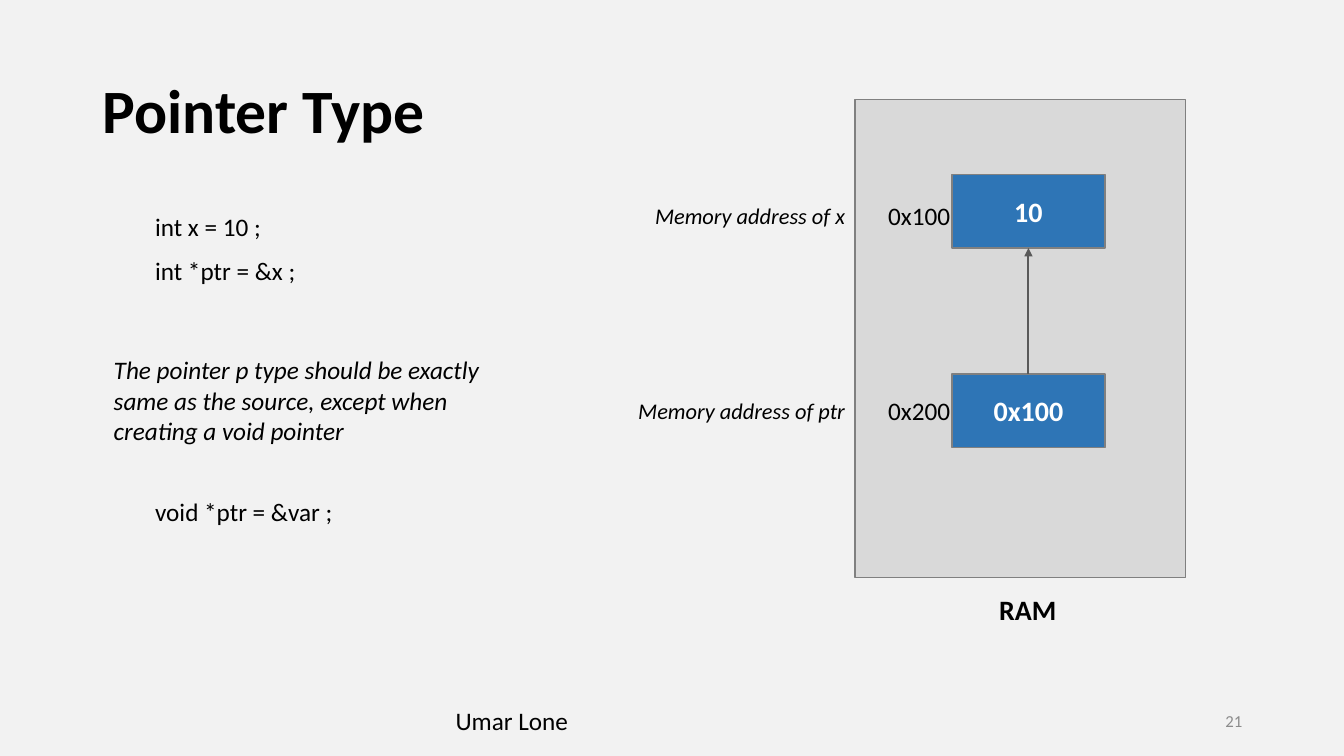
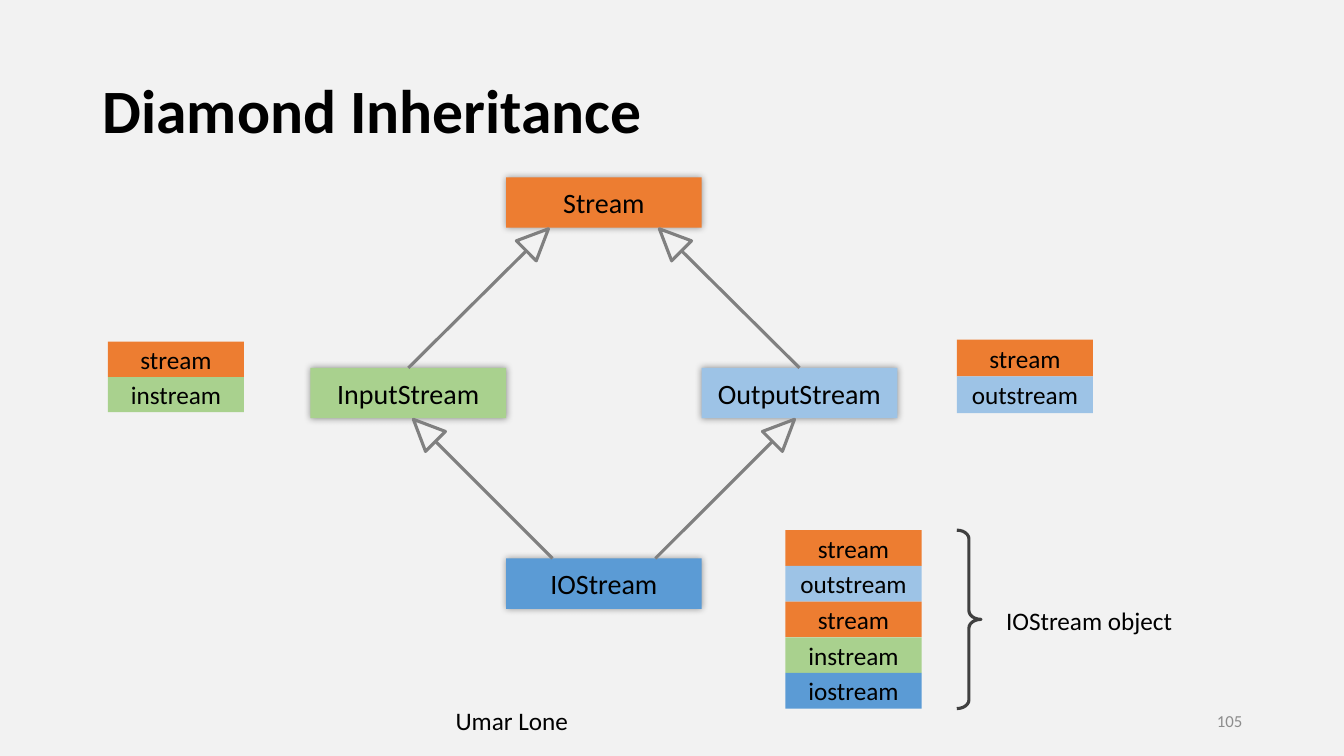
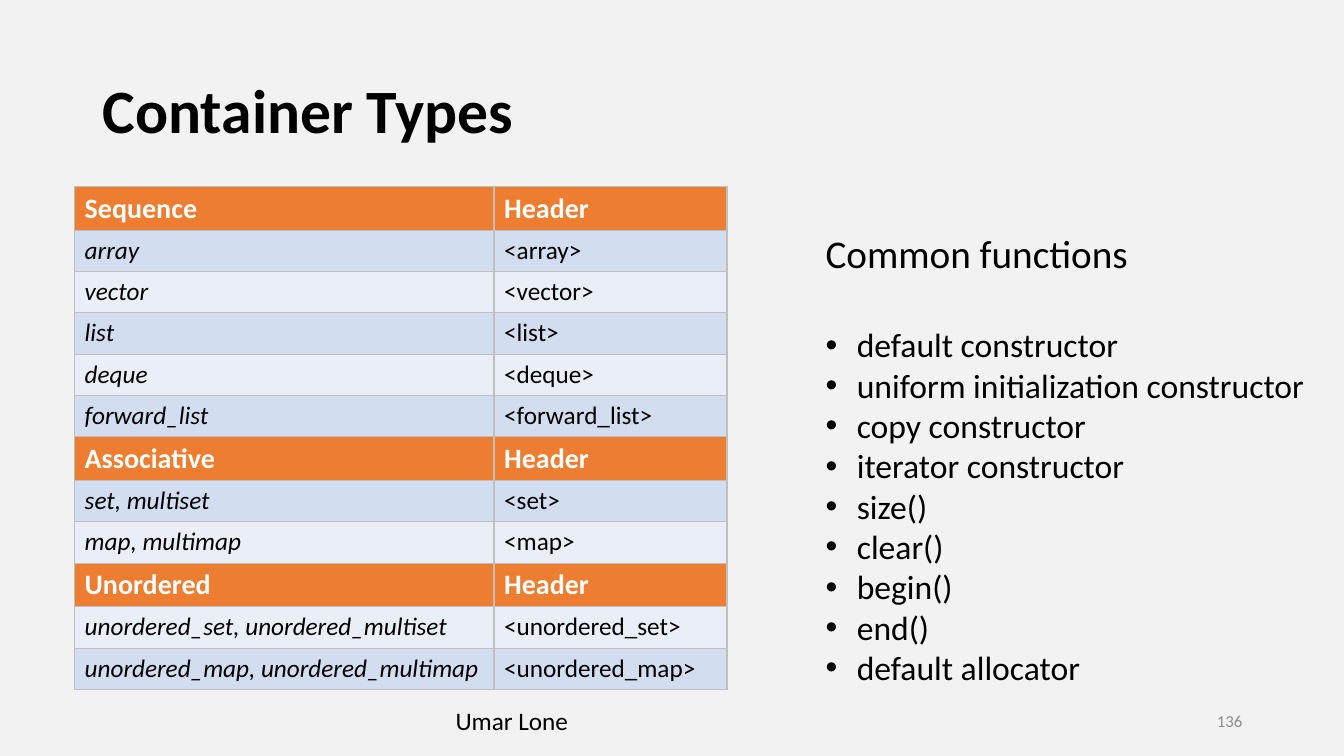
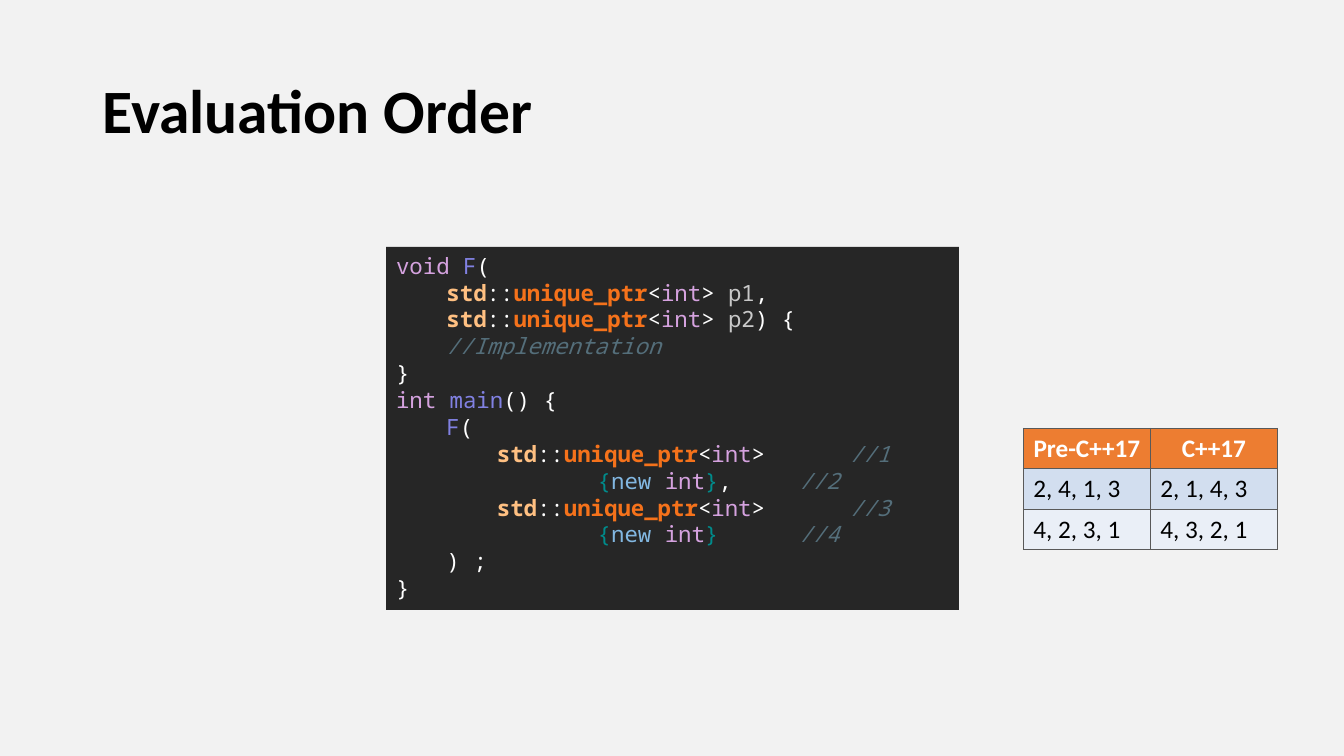
from dataclasses import dataclass
from math import atan2, cos, degrees, sin

from lxml.etree import SubElement
from pptx import Presentation
from pptx.dml.color import RGBColor
from pptx.enum.shapes import MSO_CONNECTOR as Connector, MSO_SHAPE as Shape
from pptx.enum.text import MSO_ANCHOR as Anchor, PP_ALIGN as Align
from pptx.oxml.ns import qn
from pptx.util import Inches, Pt


@dataclass(frozen=True)
class Theme:
    font: str = "Calibri"
    code_font: str = "Noto Sans Mono"
    page: str = "F2F2F2"
    ink: str = "000000"
    white: str = "FFFFFF"
    muted: str = "8C8C8C"
    memory: str = "D9D9D9"
    variable: str = "2E75B6"
    outline: str = "808080"
    dark_line: str = "595959"
    brace: str = "404040"
    grid: str = "BFBFBF"
    orange: str = "ED7D31"
    green: str = "A9D18E"
    light_blue: str = "9DC3E6"
    blue: str = "5B9BD5"
    band_dark: str = "D2DEEF"
    band_light: str = "EAEFF7"
    code_page: str = "262626"
    keyword: str = "D5A2DF"
    function: str = "8181E2"
    namespace: str = "FFC082"
    type_name: str = "F5721B"
    operator: str = "82B7E1"
    brace_code: str = "008B8B"
    parameter: str = "C8C8C8"
    comment: str = "546E7A"
    title: int = 44
    heading: int = 28
    bullet: int = 24
    label: int = 20
    body: int = 18
    small: int = 16
    number: int = 12


THEME = Theme()


@dataclass(frozen=True)
class Box:
    left: float
    top: float
    width: float
    height: float

    @property
    def lengths(self):
        return [Inches(v) for v in (self.left, self.top, self.width, self.height)]

    @property
    def center(self):
        return self.left + self.width / 2

    def inside(self, right, down, width, height):
        return Box(self.left + right, self.top + down, width, height)


def add_span(para, text, size, color=THEME.ink, bold=False, italic=False, font=THEME.font):
    span = para.add_run()
    span.text = text
    span.font.name = font
    span.font.size = Pt(size)
    span.font.bold = bold
    span.font.italic = italic
    span.font.color.rgb = RGBColor.from_string(color)


def add_text(page, box, text, size=THEME.body, align=Align.LEFT, anchor=Anchor.TOP, **style):
    frame = page.shapes.add_textbox(*box.lengths).text_frame
    frame.word_wrap = True
    frame.vertical_anchor = anchor
    para = frame.paragraphs[0]
    para.alignment = align
    add_span(para, text, size, **style)
    return frame


def add_block(page, box, fill=None, line=None, width=1, kind=Shape.RECTANGLE):
    block = page.shapes.add_shape(kind, *box.lengths)
    block.shadow.inherit = False
    if fill:
        block.fill.solid()
        block.fill.fore_color.rgb = RGBColor.from_string(fill)
    else:
        block.fill.background()
    if line:
        block.line.color.rgb = RGBColor.from_string(line)
        block.line.width = Pt(width)
    else:
        block.line.fill.background()
    return block


def add_label_block(page, box, text, fill, size=THEME.body, line=None, **style):
    block = add_block(page, box, fill, line)
    frame = block.text_frame
    frame.vertical_anchor = Anchor.MIDDLE
    frame.paragraphs[0].alignment = Align.CENTER
    add_span(frame.paragraphs[0], text, size, **style)
    return block


def add_glow(block):
    effects = block.element.spPr.find(qn("a:effectLst"))
    shadow = SubElement(effects, qn("a:outerShdw"), blurRad=str(Pt(5)), dist="0", dir="0")
    color = SubElement(shadow, qn("a:srgbClr"), val=THEME.ink)
    SubElement(color, qn("a:alpha"), val="40000")


def add_line(page, start, end, color, width, arrow=False):
    line = page.shapes.add_connector(Connector.STRAIGHT, *map(Inches, start + end))
    line.line.color.rgb = RGBColor.from_string(color)
    line.line.width = Pt(width)
    properties = line.element.spPr
    if arrow:
        SubElement(properties.find(qn("a:ln")), qn("a:tailEnd"), type="triangle")
    SubElement(properties, qn("a:effectLst"))


def add_page(deck, title, number=None):
    page = deck.slides.add_slide(deck.slide_layouts[6])
    frame = add_text(page, Box(0.92, 0.4, 11.5, 1.45), title, THEME.title,
                     anchor=Anchor.MIDDLE, bold=True)
    frame.paragraphs[0].line_spacing = 0.9
    if number:
        add_text(page, Box(4.42, 6.95, 4.5, 0.4), "Umar Lone")
        add_text(page, Box(9.42, 6.95, 3, 0.4), number, THEME.number, Align.RIGHT,
                 Anchor.MIDDLE, color=THEME.muted)
    return page


def draw_statements(page, box):
    for down, code in ((0, "int x = 10 ;"), (0.43, "int *ptr = &x ;"),
                       (2.82, "void *ptr = &var ;")):
        add_text(page, box.inside(0.41, down, 2.17, 0.4), code)
    add_text(page, box.inside(0, 1.42, box.width, 1.01),
             "The pointer p type should be exactly same as the source, "
             "except when creating a void pointer", italic=True)


def draw_memory(page, box):
    add_block(page, box, THEME.memory, THEME.outline)
    variables = (
        (0.74, 1.15, "10", "0x100", "Memory address of x"),
        (2.72, 3.08, "0x100", "0x200", "Memory address of ptr"),
    )
    cells = []
    for down, middle, value, address, caption in variables:
        cell = box.inside(0.96, down, 1.52, 0.73)
        cells.append(cell)
        add_label_block(page, cell, value, THEME.variable, THEME.label,
                        THEME.outline, color=THEME.white, bold=True)
        add_text(page, box.inside(0.23, middle - 0.19, 1.02, 0.38), address,
                 anchor=Anchor.MIDDLE)
        add_text(page, box.inside(-2.32, middle - 0.19, 2.32, 0.38), caption,
                 THEME.small, Align.RIGHT, Anchor.MIDDLE, italic=True)
    target, pointer = cells
    add_line(page, (pointer.center, pointer.top),
             (target.center, target.top + target.height), THEME.dark_line, 1.5, True)
    add_text(page, box.inside(0.63, box.height + 0.1, 2.17, 0.44), "RAM",
             THEME.label, Align.CENTER, bold=True)


def draw_inheritance(page, start, tip):
    width, height = 0.28, 0.31
    angle = atan2(tip[0] - start[0], start[1] - tip[1])
    across, down = sin(angle), -cos(angle)
    base = (tip[0] - height * across, tip[1] - height * down)
    add_line(page, start, base, THEME.outline, 2.25)
    head = Box((tip[0] + base[0] - width) / 2, (tip[1] + base[1] - height) / 2, width, height)
    triangle = add_block(page, head, None, THEME.outline, 2.25, Shape.ISOSCELES_TRIANGLE)
    triangle.rotation = degrees(angle)


def draw_diamond(page, box):
    width, height = box.width / 3, 0.5
    middle = (box.height - height) / 2
    classes = (
        ("Stream", THEME.orange, width, 0),
        ("InputStream", THEME.green, 0, middle),
        ("OutputStream", THEME.light_blue, 2 * width, middle),
        ("IOStream", THEME.blue, width, 2 * middle),
    )
    for name, fill, right, down in classes:
        add_glow(add_label_block(page, box.inside(right, down, width, height),
                                 name, fill, THEME.label))
    for side in (-1, 1):
        for start_offset, start_row, tip_offset, tip_row in (
                (1.94, middle, 0.55, 0), (0.51, 2 * middle, 1.89, middle)):
            draw_inheritance(
                page,
                (box.center + side * start_offset, box.top + start_row),
                (box.center + side * tip_offset, box.top + tip_row + height + 0.01))


def draw_layout(page, box, parts):
    fills = {"stream": THEME.orange, "instream": THEME.green,
             "outstream": THEME.light_blue, "iostream": THEME.blue}
    height = box.height / len(parts)
    for index, part in enumerate(parts):
        add_label_block(page, box.inside(0, index * height, box.width, height),
                        part, fills[part])


def draw_object(page, box):
    draw_layout(page, box, ("stream", "outstream", "stream", "instream", "iostream"))
    brace = add_block(page, box.inside(1.7, 0, 0.24, box.height), None, THEME.brace,
                      2.25, Shape.RIGHT_BRACE)
    brace.adjustments[0] = 0.36
    add_text(page, box.inside(2.09, 0.7, 2.17, 0.4), "IOStream object")


def add_border(cell, color):
    properties = cell._tc.get_or_add_tcPr()
    for side in ("a:lnL", "a:lnR", "a:lnT", "a:lnB"):
        edge = SubElement(properties, qn(side), w=str(Pt(1)))
        fill = SubElement(edge, qn("a:solidFill"))
        SubElement(fill, qn("a:srgbClr"), val=color)


def draw_table(page, box, widths, rows, headers, heights, border, header_size,
               header_align=Align.LEFT, italic_first=False):
    table = page.shapes.add_table(len(rows), len(widths), *box.lengths).table
    table.horz_banding = False
    for column, width in zip(table.columns, widths):
        column.width = Inches(width)
    for row, texts in enumerate(rows):
        header = row in headers
        table.rows[row].height = Inches(heights[0] if header else heights[1])
        band = THEME.band_dark if row % 2 else THEME.band_light
        for column, text in enumerate(texts):
            cell = table.cell(row, column)
            add_border(cell, border)
            cell.fill.solid()
            cell.fill.fore_color.rgb = RGBColor.from_string(THEME.orange if header else band)
            para = cell.text_frame.paragraphs[0]
            para.alignment = header_align if header else Align.LEFT
            add_span(para, text, header_size if header else THEME.body,
                     THEME.white if header else THEME.ink, header,
                     italic_first and not header and column == 0)


def draw_functions(page, box):
    frame = add_text(page, box, "Common functions", THEME.heading)
    frame.paragraphs[0].space_after = Pt(34)
    for text in ("default constructor", "uniform initialization constructor",
                 "copy constructor", "iterator constructor", "size()", "clear()",
                 "begin()", "end()", "default allocator"):
        para = frame.add_paragraph()
        properties = para._p.get_or_add_pPr()
        properties.set("marL", str(Inches(0.31)))
        properties.set("indent", str(-Inches(0.31)))
        SubElement(properties, qn("a:buFont"), typeface="Arial")
        SubElement(properties, qn("a:buChar"), char="•")
        add_span(para, text, THEME.bullet)


def smart_pointer(*rest):
    return (("std", THEME.namespace), ("::", THEME.white), ("unique_ptr", THEME.type_name),
            ("<", THEME.white), ("int", THEME.keyword), (">", THEME.white)) + rest


def parameter(name, ending):
    return smart_pointer((" " + name, THEME.parameter), (ending, THEME.white))


def new_value(*rest):
    return (("{", THEME.brace_code), ("new ", THEME.operator), ("int", THEME.keyword),
            ("}", THEME.brace_code)) + rest


def draw_code(page, box):
    closing = (("}", THEME.white),)
    lines = (
        (0, None, (("void ", THEME.keyword), ("F", THEME.function), ("(", THEME.white))),
        (0.5, None, parameter("p1", ",")),
        (0.5, None, parameter("p2", ") {")),
        (0.5, None, (("//Implementation", THEME.comment),)),
        (0, None, closing),
        (0, None, (("int ", THEME.keyword), ("main", THEME.function), ("() {", THEME.white))),
        (0.5, None, (("F", THEME.function), ("(", THEME.white))),
        (1, 4.5, smart_pointer(("\t//1", THEME.comment))),
        (2, 4, new_value((",", THEME.white), ("\t//2", THEME.comment))),
        (1, 4.5, smart_pointer(("\t//3", THEME.comment))),
        (2, 4, new_value(("\t//4", THEME.comment))),
        (0.5, None, ((") ;", THEME.white),)),
        (0, None, closing),
    )
    frame = add_block(page, box, THEME.code_page).text_frame
    frame.word_wrap = True
    frame.vertical_anchor = Anchor.TOP
    for index, (indent, note, tokens) in enumerate(lines):
        para = frame.add_paragraph() if index else frame.paragraphs[0]
        para.alignment = Align.LEFT
        stops = [stop for stop in (indent, note) if stop]
        if stops:
            tabs = SubElement(para._p.get_or_add_pPr(), qn("a:tabLst"))
            for stop in stops:
                SubElement(tabs, qn("a:tab"), pos=str(Inches(stop)), algn="l")
        if indent:
            add_span(para, "\t", THEME.small, THEME.white, font=THEME.code_font)
        for text, color in tokens:
            add_span(para, text, THEME.small, color,
                     color in (THEME.namespace, THEME.type_name),
                     color == THEME.comment, THEME.code_font)


def build_pointer_page(deck):
    page = add_page(deck, "Pointer Type", "21")
    draw_statements(page, Box(1.03, 2.05, 3.87, 3.22))
    draw_memory(page, Box(8.48, 0.99, 3.28, 4.74))


def build_diamond_page(deck):
    page = add_page(deck, "Diamond Inheritance", "105")
    draw_diamond(page, Box(3.08, 1.76, 5.82, 4.28))
    draw_layout(page, Box(1.07, 3.39, 1.35, 0.7), ("stream", "instream"))
    draw_layout(page, Box(9.49, 3.37, 1.35, 0.73), ("stream", "outstream"))
    draw_object(page, Box(7.79, 5.26, 1.35, 1.77))


def build_container_page(deck):
    page = add_page(deck, "Container Types", "136")
    rows = (
        ("Sequence", "Header"),
        ("array", "<array>"),
        ("vector", "<vector>"),
        ("list", "<list>"),
        ("deque", "<deque>"),
        ("forward_list", "<forward_list>"),
        ("Associative", "Header"),
        ("set, multiset", "<set>"),
        ("map, multimap", "<map>"),
        ("Unordered", "Header"),
        ("unordered_set, unordered_multiset", "<unordered_set>"),
        ("unordered_map, unordered_multimap", "<unordered_map>"),
    )
    draw_table(page, Box(0.74, 1.85, 6.47, 4.95), (4.16, 2.31), rows, (0, 6, 9),
               (0.43, 0.41), THEME.grid, THEME.label, italic_first=True)
    draw_functions(page, Box(8.09, 2.23, 5.2, 4.68))


def build_evaluation_page(deck):
    page = add_page(deck, "Evaluation Order")
    draw_code(page, Box(3.83, 2.45, 5.68, 3.6))
    rows = (("Pre-C++17", "C++17"), ("2, 4, 1, 3", "2, 1, 4, 3"), ("4, 2, 3, 1", "4, 3, 2, 1"))
    draw_table(page, Box(10.15, 4.25, 2.52, 1.2), (1.26, 1.26), rows, (0,),
               (0.4, 0.4), THEME.dark_line, THEME.body, Align.CENTER)


def main():
    deck = Presentation()
    deck.slide_width, deck.slide_height = Inches(13.33), Inches(7.5)
    background = deck.slide_master.background.fill
    background.solid()
    background.fore_color.rgb = RGBColor.from_string(THEME.page)
    for build in (build_pointer_page, build_diamond_page, build_container_page,
                  build_evaluation_page):
        build(deck)
    deck.save("out.pptx")


if __name__ == "__main__":
    main()
